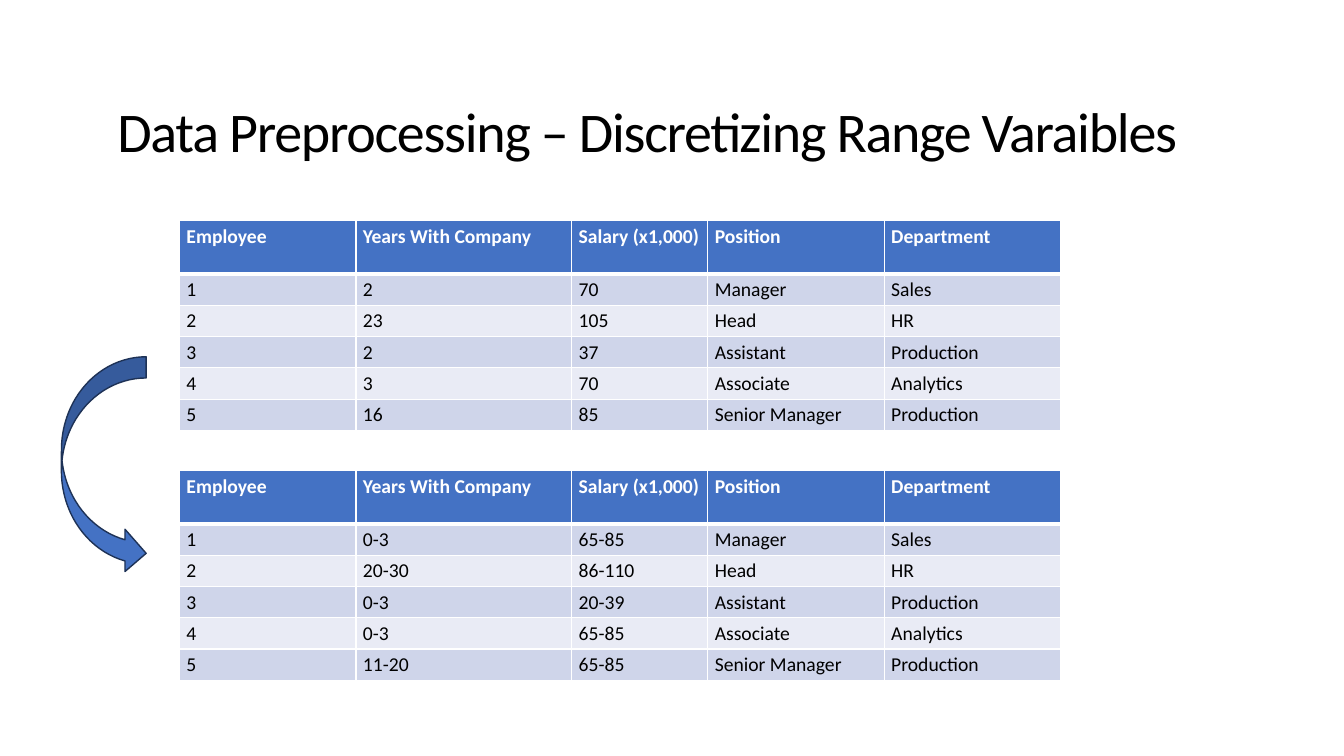
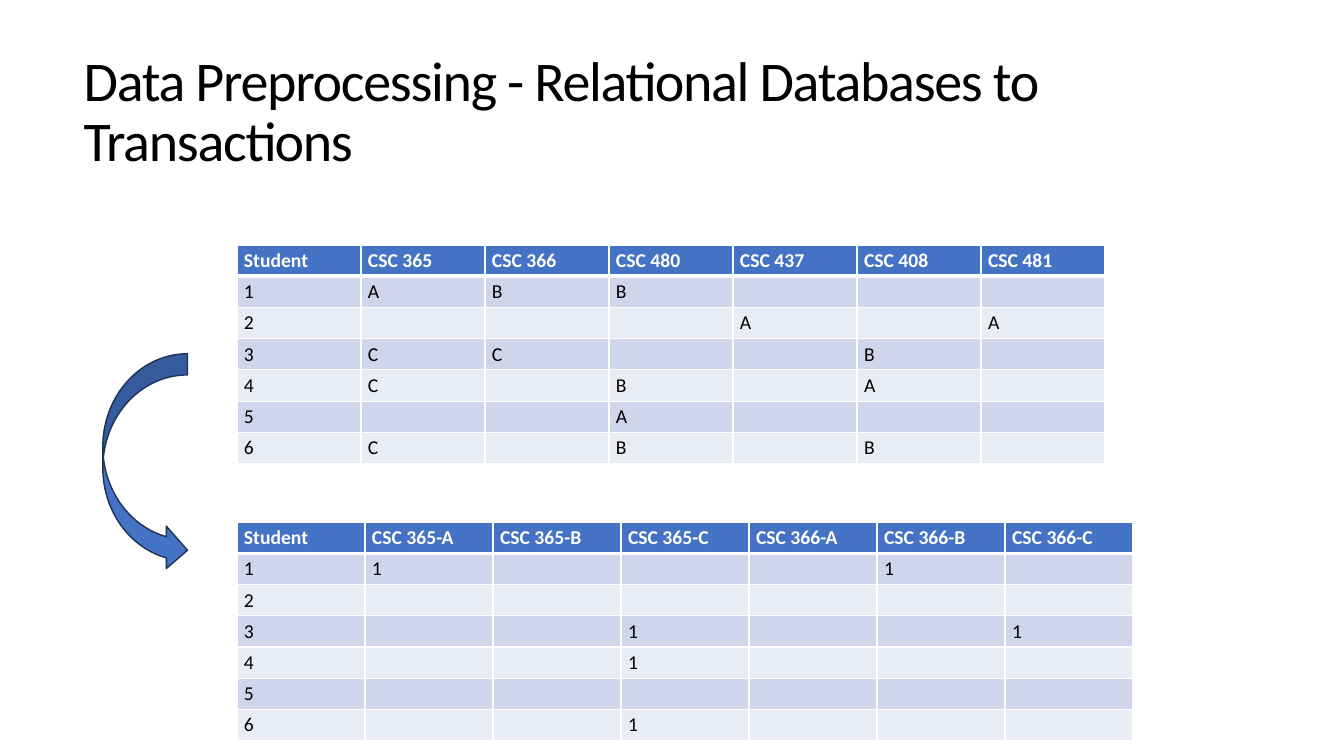
"""Build two slides that show data preprocessing steps as before and after tables."""
from lxml.etree import SubElement
from pptx import Presentation
from pptx.dml.color import RGBColor
from pptx.enum.shapes import MSO_SHAPE as Shape
from pptx.enum.text import MSO_ANCHOR as Anchor, PP_ALIGN as Align
from pptx.oxml.ns import qn
from pptx.util import Inches, Pt

BLACK = RGBColor(0x00, 0x00, 0x00)
WHITE = RGBColor(0xFF, 0xFF, 0xFF)
BLUE = RGBColor(0x44, 0x72, 0xC4)
NAVY = RGBColor(0x1E, 0x32, 0x56)
BANDS = RGBColor(0xCF, 0xD5, 0xEA), RGBColor(0xE9, 0xEB, 0xF5)
FONT = "Calibri"
TITLE_SIZE, CELL_SIZE = Pt(40), Pt(14)
TITLE_SPACING = "-90"
TITLE_INDENT = Inches(0.6)
THIN, THICK = Pt(1), Pt(3)
ROW_HEIGHT = 0.31

EMPLOYEE_HEADER = ["Employee", "Years With Company", "Salary (x1,000)", "Position", "Department"]
EMPLOYEE_WIDTHS = [1.75, 2.14, 1.35, 1.75, 1.75]
ROLES = [("Manager", "Sales"), ("Head", "HR"), ("Assistant", "Production"),
         ("Associate", "Analytics"), ("Senior Manager", "Production")]
EXACT_VALUES = [("2", "70"), ("23", "105"), ("2", "37"), ("3", "70"), ("16", "85")]
RANGE_VALUES = [("0-3", "65-85"), ("20-30", "86-110"), ("0-3", "20-39"),
                ("0-3", "65-85"), ("11-20", "65-85")]

COURSES = ["365", "366", "480", "437", "408", "481"]
GRADES = [{"365": "A", "366": "B", "480": "B"},
          {"437": "A", "481": "A"},
          {"365": "C", "366": "C", "408": "B"},
          {"365": "C", "480": "B", "408": "A"},
          {"480": "A"},
          {"365": "C", "480": "B", "408": "B"}]
OUTCOMES = [(course, grade) for course in COURSES[:2] for grade in "ABC"]


class SlideBuilder:
    """Hold the deck, its style and the current slide."""

    def __init__(self):
        """Start a wide deck."""
        self.deck = Presentation()
        self.deck.slide_width, self.deck.slide_height = Inches(13.33), Inches(7.5)
        self.slide = None

    def add_slide(self):
        """Start a blank slide."""
        self.slide = self.deck.slides.add_slide(self.deck.slide_layouts[6])

    def style_run(self, span, size, color, bold=False):
        """Set the font of one run."""
        span.font.name, span.font.size, span.font.bold = FONT, size, bold
        span.font.color.rgb = color

    def title(self, text, left, width, line_spacing, centered=False):
        """Add the slide title, indented on one side."""
        box = self.slide.shapes.add_textbox(Inches(left), Inches(0.4), Inches(width), Inches(1.45))
        frame = box.text_frame
        frame.word_wrap = True
        frame.vertical_anchor = Anchor.MIDDLE
        if centered:
            frame.margin_right = TITLE_INDENT
        else:
            frame.margin_left = TITLE_INDENT
        frame.text = text
        para = frame.paragraphs[0]
        para.alignment = Align.CENTER if centered else Align.LEFT
        para.line_spacing = line_spacing
        span = para.runs[0]
        self.style_run(span, TITLE_SIZE, BLACK)
        span.font._element.set("spc", TITLE_SPACING)

    def borders(self, cell, row):
        """Draw white cell borders with a thick rule under the header."""
        properties = cell._tc.get_or_add_tcPr()
        widths = {"L": THIN, "R": THIN, "T": THICK if row == 1 else THIN,
                  "B": THICK if row == 0 else THIN}
        for side, width in widths.items():
            line = SubElement(properties, qn(f"a:ln{side}"), w=str(width))
            fill = SubElement(line, qn("a:solidFill"))
            SubElement(fill, qn("a:srgbClr"), val=str(WHITE))

    def cell(self, cell, text, row):
        """Fill and format one table cell."""
        self.borders(cell, row)
        cell.fill.solid()
        cell.fill.fore_color.rgb = BANDS[(row - 1) % 2] if row else BLUE
        cell.margin_left = cell.margin_right = Inches(0.07)
        cell.margin_top = cell.margin_bottom = Pt(2.7)
        cell.text = text
        para = cell.text_frame.paragraphs[0]
        for span in para.runs:
            self.style_run(span, CELL_SIZE, BLACK if row else WHITE, bold=row == 0)
        SubElement(para._p, qn("a:endParaRPr"), sz=str(CELL_SIZE.centipoints))

    def table(self, rows, left, top, widths, header_height=ROW_HEIGHT):
        """Add a table with a header row and banded body rows."""
        heights = [header_height] + [ROW_HEIGHT] * (len(rows) - 1)
        table = self.slide.shapes.add_table(
            len(rows), len(widths), Inches(left), Inches(top),
            Inches(sum(widths)), Inches(sum(heights))).table
        for column, width in zip(table.columns, widths):
            column.width = Inches(width)
        for row, (texts, height) in enumerate(zip(rows, heights)):
            table.rows[row].height = Inches(height)
            for column, text in enumerate(texts):
                self.cell(table.cell(row, column), text, row)

    def arrow(self, left, top):
        """Add the curved arrow from the upper to the lower table."""
        arrow = self.slide.shapes.add_shape(
            Shape.CURVED_RIGHT_ARROW, Inches(left), Inches(top), Inches(0.84), Inches(2.16))
        arrow.shadow.inherit = False
        arrow.fill.solid()
        arrow.fill.fore_color.rgb = BLUE
        arrow.line.color.rgb = NAVY
        arrow.line.width = THIN


def numbered(header, records):
    """Put a header above records that are numbered from one."""
    return [header] + [[str(number), *record] for number, record in enumerate(records, 1)]


def main():
    """Build both slides and save the deck."""
    builder = SlideBuilder()

    builder.add_slide()
    builder.title("Data Preprocessing – Discretizing Range Varaibles", 0.92, 11.5, 1.5, centered=True)
    for values, top in ((EXACT_VALUES, 2.19), (RANGE_VALUES, 4.67)):
        records = [value + role for value, role in zip(values, ROLES)]
        builder.table(numbered(EMPLOYEE_HEADER, records), 1.78, top, EMPLOYEE_WIDTHS, 0.53)
    builder.arrow(0.61, 3.54)

    builder.add_slide()
    builder.title("Data Preprocessing - Relational Databases to Transactions", 0.23, 12.86, 0.9)
    header = ["Student"] + [f"CSC {course}" for course in COURSES]
    records = [[grades.get(course, "") for course in COURSES] for grades in GRADES]
    builder.table(numbered(header, records), 2.35, 2.43, [1.23] * len(header))
    header = ["Student"] + [f"CSC {course}-{grade}" for course, grade in OUTCOMES]
    records = [["1" if grades.get(course) == grade else "" for course, grade in OUTCOMES]
               for grades in GRADES]
    builder.table(numbered(header, records), 2.35, 5.18, [1.27] * len(header))
    builder.arrow(1.02, 3.51)

    builder.deck.save("out.pptx")


if __name__ == "__main__":
    main()
